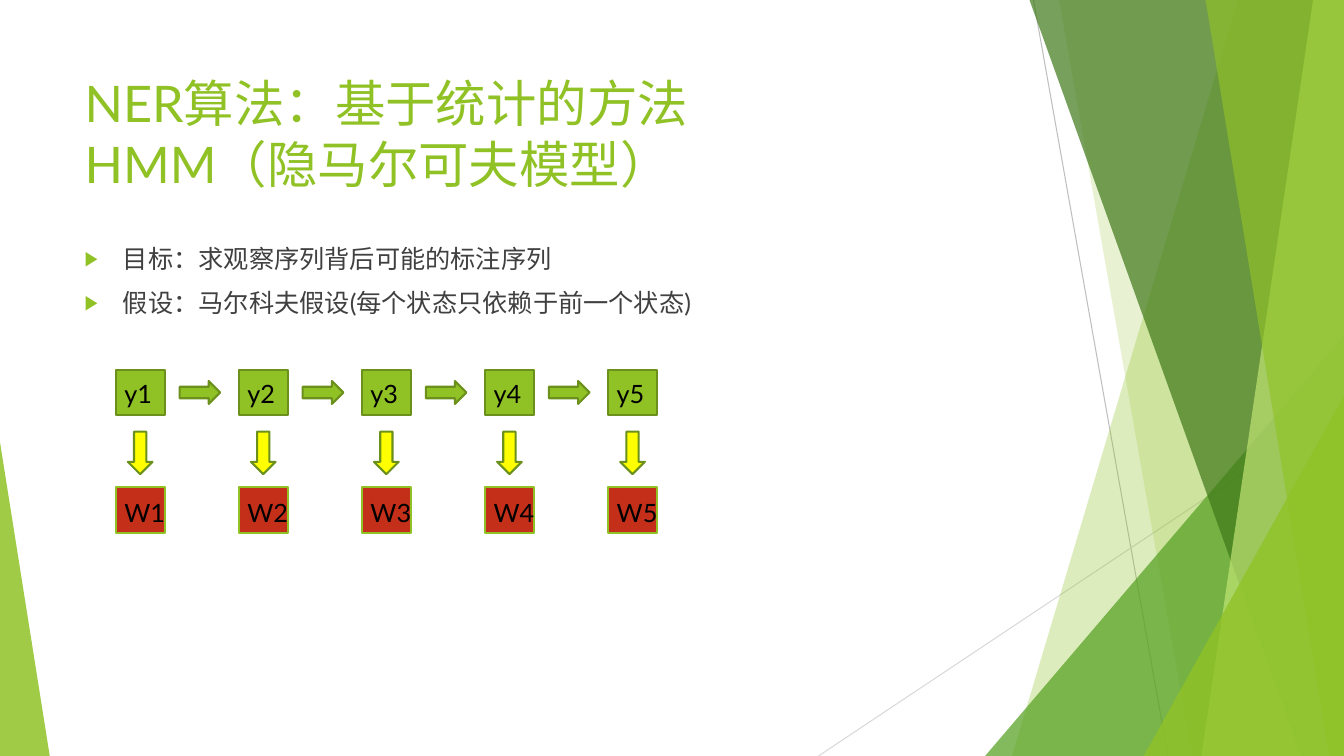
from dataclasses import dataclass

from lxml.etree import SubElement
from pptx import Presentation
from pptx.dml.color import RGBColor as Rgb
from pptx.enum.shapes import MSO_CONNECTOR as Connector, MSO_SHAPE as Shape
from pptx.enum.text import MSO_ANCHOR as Anchor, MSO_AUTO_SIZE as AutoSize, PP_ALIGN as Align
from pptx.oxml.ns import qn
from pptx.util import Inches, Pt


@dataclass(frozen=True)
class Theme:
    """Colours, font and type sizes of the slide."""
    font: str = "Lato"
    title_size: int = 36
    text_size: int = 18
    green: str = "90C226"
    outline: str = "6B901C"
    mid_green: str = "54A021"
    dark_green: str = "3F7819"
    pale_green: str = "C0E474"
    yellow: str = "FFFF00"
    red: str = "C42F1A"
    body: str = "404040"
    black: str = "000000"
    rule: str = "BFBFBF"
    pale_rule: str = "D9D9D9"


@dataclass(frozen=True)
class Box:
    """A region that is divided into columns and rows."""
    left: float
    top: float
    width: float
    height: float
    columns: float = 100
    rows: float = 100

    def point(self, column, row):
        """Return the position of a grid point."""
        return (round(self.left + self.width * column / self.columns),
                round(self.top + self.height * row / self.rows))

    def place(self, column, row, width, height):
        """Return left, top, width and height of a grid area."""
        return (*self.point(column, row), round(self.width * width / self.columns),
                round(self.height * height / self.rows))


THEME = Theme()


def paint(shape, fill, line=None, opacity=100):
    """Give a shape its fill, opacity and outline."""
    shape.shadow.inherit = False
    shape.fill.solid()
    shape.fill.fore_color.rgb = Rgb.from_string(fill)
    if opacity < 100:
        color = next(shape.element.spPr.iter(qn("a:srgbClr")))
        SubElement(color, qn("a:alpha"), val=str(opacity * 1000))
    if line:
        shape.line.color.rgb = Rgb.from_string(line)
        shape.line.width = Pt(1.5)
    else:
        shape.line.fill.background()


def add_span(para, text, size, color):
    """Add one formatted run."""
    span = para.add_run()
    span.text = text
    span.font.name = THEME.font
    span.font.size = Pt(size)
    span.font.color.rgb = Rgb.from_string(color)


def add_rule(page, start, end, color):
    """Draw a thin straight line."""
    rule = page.shapes.add_connector(Connector.STRAIGHT, *start, *end)
    rule.line.color.rgb = Rgb.from_string(color)
    rule.line.width = Pt(0.75)
    SubElement(rule.element.spPr, qn("a:effectLst"))


def add_panel(page, box, top_left, bottom_left, color, opacity):
    """Draw a full-height panel that ends at the right edge."""
    outline = page.shapes.build_freeform(*box.point(top_left, 0))
    corners = [(100, 0), (100, 100), (bottom_left, 100)]
    outline.add_line_segments([box.point(*corner) for corner in corners])
    paint(outline.convert_to_shape(), color, opacity=opacity)


def add_wedge(page, box, area, tip, color, opacity):
    """Draw a triangle whose tip is at the given share of its width."""
    wedge = page.shapes.add_shape(Shape.ISOSCELES_TRIANGLE, *box.place(*area))
    wedge.adjustments[0] = tip
    paint(wedge, color, opacity=opacity)


def add_backdrop(page, box):
    """Draw the overlapping facets at both edges."""
    add_rule(page, box.point(76.9, 0), box.point(86.9, 100), THEME.rule)
    add_rule(page, box.point(100, 53.7), box.point(60.9, 100), THEME.pale_rule)
    add_panel(page, box, 92.1, 75.3, THEME.green, 30)
    add_panel(page, box, 78.8, 88.7, THEME.green, 20)
    add_wedge(page, box, (73.3, 44.4, 26.7, 55.6), 1, THEME.mid_green, 72)
    add_panel(page, box, 76.6, 96.8, THEME.dark_green, 70)
    add_panel(page, box, 97.7, 89.4, THEME.pale_green, 70)
    add_panel(page, box, 89.7, 98.9, THEME.green, 65)
    add_wedge(page, box, (85.1, 52.4, 14.9, 47.6), 1, THEME.green, 80)
    add_wedge(page, box, (0, 58.5, 3.7, 41.5), 0, THEME.green, 85)


def fit_placeholder(holder, area):
    """Move a placeholder and return its top-aligned text frame."""
    holder.left, holder.top, holder.width, holder.height = area
    frame = holder.text_frame
    frame.word_wrap = True
    frame.auto_size = AutoSize.NONE
    frame.vertical_anchor = Anchor.TOP
    return frame


def add_title(page, area, lines):
    """Fill the title, one run per line."""
    para = fit_placeholder(page.shapes.title, area).paragraphs[0]
    para.alignment = Align.LEFT
    for number, line in enumerate(lines):
        if number:
            para.add_line_break()
        add_span(para, line, THEME.title_size, THEME.green)


def add_bullet(para):
    """Give a paragraph a green arrowhead bullet and a hanging indent."""
    props = para._p.get_or_add_pPr()
    props.set("marL", str(Inches(0.38)))
    props.set("indent", str(-Inches(0.38)))
    SubElement(SubElement(props, qn("a:buClr")), qn("a:srgbClr"), val=THEME.green)
    SubElement(props, qn("a:buSzPct"), val="80000")
    SubElement(props, qn("a:buChar"), char="▶")


def add_list(page, area, items):
    """Fill the body placeholder with bullets."""
    frame = fit_placeholder(page.placeholders[1], area)
    for number, item in enumerate(items):
        para = frame.add_paragraph() if number else frame.paragraphs[0]
        add_bullet(para)
        para.space_before = Pt(10 if number else 0)
        add_span(para, item, THEME.text_size, THEME.body)


def add_label(page, area, text):
    """Add a text box over a node."""
    frame = page.shapes.add_textbox(*area).text_frame
    frame.word_wrap = True
    frame.auto_size = AutoSize.SHAPE_TO_FIT_TEXT
    add_span(frame.paragraphs[0], text, THEME.text_size, THEME.black)


def add_chain(page, box, count):
    """Draw the hidden states, their observed words and the arrows between."""
    def add_part(kind, area, fill, line):
        """Draw one painted part of the chain."""
        paint(page.shapes.add_shape(kind, *box.place(*area)), fill, line)

    for step in range(count):
        add_part(Shape.RECTANGLE, (step, 0, 0.4, 28), THEME.green, THEME.outline)
        add_part(Shape.DOWN_ARROW, (step + 0.1, 38, 0.2, 26), THEME.yellow, THEME.outline)
        add_part(Shape.RECTANGLE, (step, 72, 0.4, 28), THEME.red, THEME.green)
        if step < count - 1:
            add_part(Shape.RIGHT_ARROW, (step + 0.52, 7, 0.33, 14), THEME.green, THEME.outline)
        add_label(page, box.place(step - 0.01, 2, 0.54, 25), f"y{step + 1}")
        add_label(page, box.place(step - 0.01, 75, 0.54, 25), f"W{step + 1}")


def main():
    """Build and save the slide."""
    deck = Presentation()
    deck.slide_width, deck.slide_height = Inches(13.33), Inches(7.5)
    page = deck.slides.add_slide(deck.slide_layouts[1])
    full = Box(0, 0, deck.slide_width, deck.slide_height)
    add_backdrop(page, full)
    add_title(page, full.place(5.55, 8.9, 70.5, 19.2),
              ["NER算法：基于统计的方法", "HMM（隐马尔可夫模型）"])
    add_list(page, full.place(5.55, 31.5, 70.5, 56.5),
             ["目标：求观察序列背后可能的标注序列",
              "假设：马尔科夫假设(每个状态只依赖于前一个状态)"])
    add_chain(page, Box(*full.place(8.6, 48.9, 40.3, 21.6), columns=4.4), 5)
    deck.save("out.pptx")


if __name__ == "__main__":
    main()
